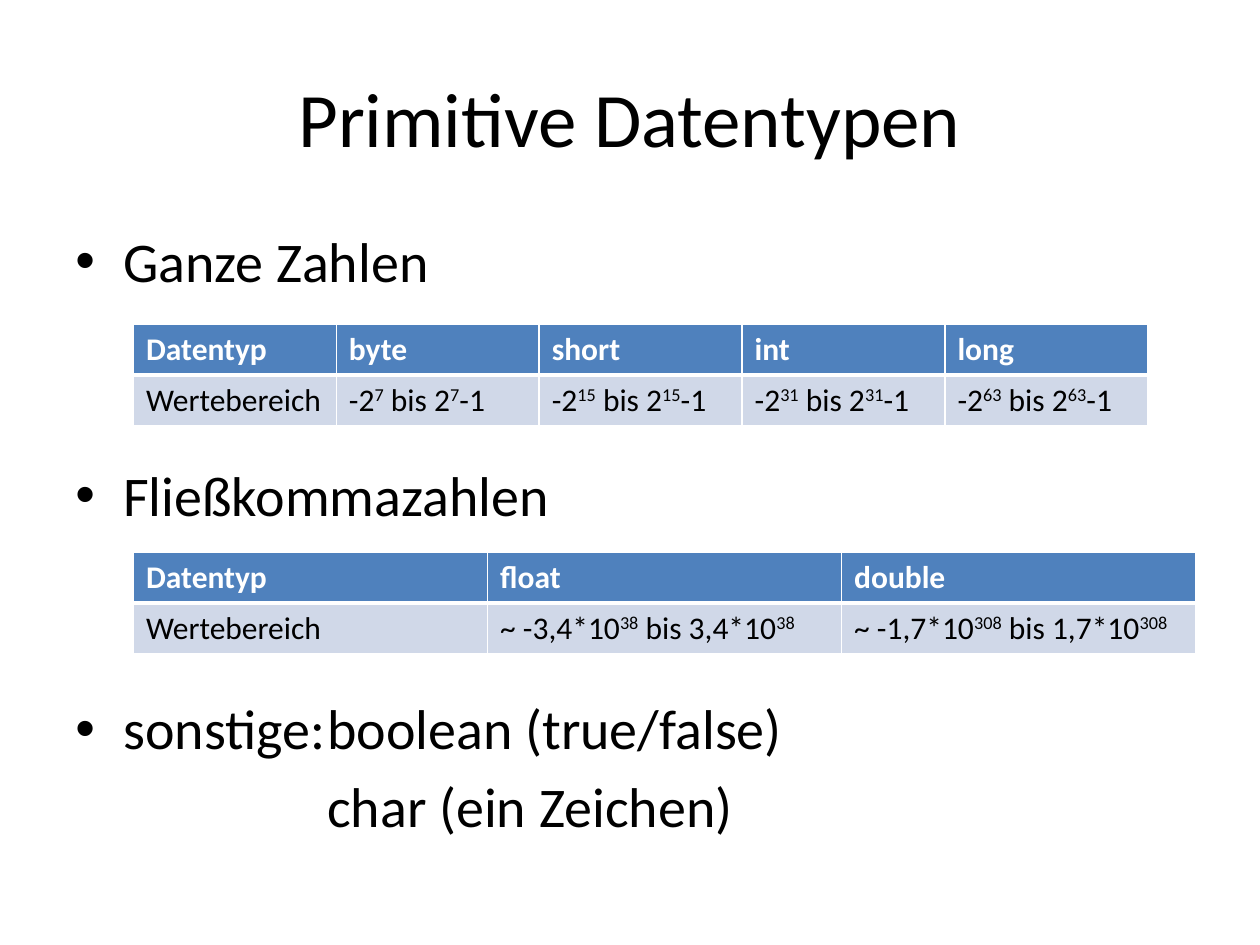
from pptx import Presentation
from pptx.dml.color import RGBColor
from pptx.enum.text import MSO_ANCHOR as Anchor, PP_ALIGN as Align
from pptx.oxml.ns import qn
from pptx.util import Inches, Pt
from lxml.etree import SubElement

WIDTH, HEIGHT = Inches(10), Inches(7.5)
FONT = "Calibri"
BLACK = RGBColor(0x00, 0x00, 0x00)
WHITE = RGBColor(0xFF, 0xFF, 0xFF)
HEADER_BLUE = RGBColor(0x4F, 0x81, 0xBD)
ROW_BLUE = RGBColor(0xD0, 0xD8, 0xE8)

MARGIN = 0.05  # share of the slide width
TABLE_LEFT = Inches(1.06)
ROW_HEIGHT = Inches(0.405)
BULLET_INDENT = Inches(0.38)
LINE_GAP, TABLE_GAP = Pt(5.7), Pt(95.2)

INTEGER_BITS = {"byte": 7, "short": 15, "int": 31, "long": 63}
FLOAT_LIMITS = {"float": ("3,4", 38), "double": ("1,7", 308)}


def style_font(font, size, color=BLACK, bold=False):
    font.name, font.size, font.bold = FONT, Pt(size), bold
    font.color.rgb = color


def add_text_frame(slide, top, height, anchor):
    """Add a text box between the side margins; lengths are slide shares."""
    box = slide.shapes.add_textbox(
        int(WIDTH * MARGIN), int(HEIGHT * top),
        int(WIDTH * (1 - 2 * MARGIN)), int(HEIGHT * height))
    frame = box.text_frame
    frame.word_wrap = True
    frame.vertical_anchor = anchor
    return frame


def set_indent(paragraph, left, first=0, bullet=None):
    properties = paragraph._p.get_or_add_pPr()
    properties.set("marL", str(int(left)))
    properties.set("indent", str(int(first)))
    if bullet:
        SubElement(properties, qn("a:buFont"), typeface="Arial")
        SubElement(properties, qn("a:buChar"), char=bullet)


def add_title(slide, text):
    frame = add_text_frame(slide, 0.04, 1 / 6, Anchor.MIDDLE)
    frame.text = text
    paragraph = frame.paragraphs[0]
    paragraph.alignment = Align.CENTER
    style_font(paragraph.runs[0].font, 44)


def add_body(slide, lines):
    """Add lines given as (text, space before, is bulleted)."""
    frame = add_text_frame(slide, 0.233, 0.697, Anchor.TOP)
    frame.text = "\n".join(text for text, _, _ in lines)
    for paragraph, (_, gap, bulleted) in zip(frame.paragraphs, lines):
        paragraph.space_before = gap
        if bulleted:
            set_indent(paragraph, BULLET_INDENT, -BULLET_INDENT, "•")
        else:
            set_indent(paragraph, Inches(2))
        for run in paragraph.runs:
            style_font(run.font, 32)


def set_borders(cell, **widths):
    properties = cell._tc.get_or_add_tcPr()
    for position, side in enumerate("LRTB"):
        line = properties.makeelement(
            qn(f"a:ln{side}"), {"w": str(Pt(widths.get(side, 1)))})
        fill = SubElement(line, qn("a:solidFill"))
        SubElement(fill, qn("a:srgbClr"), val=str(WHITE))
        properties.insert(position, line)


def fill_cell(cell, text, is_header):
    """Write the text; parts between ^ signs are superscript."""
    paragraph = cell.text_frame.paragraphs[0]
    for index, part in enumerate(text.split("^")):
        if not part:
            continue
        run = paragraph.add_run()
        run.text = part
        style_font(run.font, 18, WHITE if is_header else BLACK, is_header)
        if index % 2:
            run.font._element.set("baseline", "30000")
    cell.fill.solid()
    cell.fill.fore_color.rgb = HEADER_BLUE if is_header else ROW_BLUE
    set_borders(cell, **({"B": 3} if is_header else {"T": 3}))


def add_range_table(slide, top, column_width, ranges):
    rows = [["Datentyp", *ranges], ["Wertebereich", *ranges.values()]]
    count = len(rows[0])
    table = slide.shapes.add_table(
        len(rows), count, TABLE_LEFT, Inches(top),
        Inches(column_width * count), ROW_HEIGHT * len(rows)).table
    table.horz_banding = False
    for column in table.columns:
        column.width = Inches(column_width)
    for row_index, texts in enumerate(rows):
        table.rows[row_index].height = ROW_HEIGHT
        for column_index, text in enumerate(texts):
            fill_cell(table.cell(row_index, column_index), text, row_index == 0)


def main():
    presentation = Presentation()
    presentation.slide_width, presentation.slide_height = WIDTH, HEIGHT
    slide = presentation.slides.add_slide(presentation.slide_layouts[6])

    # Title and bullet list
    add_title(slide, "Primitive Datentypen")
    add_body(slide, [
        ("Ganze Zahlen", Pt(0), True),
        ("Fließkommazahlen", TABLE_GAP, True),
        ("sonstige:\tboolean (true/false)", TABLE_GAP, True),
        ("char (ein Zeichen)", LINE_GAP, False),
    ])

    # Value ranges
    add_range_table(slide, 2.57, 1.61, {
        name: f"-2^{bits}^ bis 2^{bits}^-1"
        for name, bits in INTEGER_BITS.items()})
    add_range_table(slide, 4.38, 2.81, {
        name: f"~ -{factor}*10^{power}^ bis {factor}*10^{power}^"
        for name, (factor, power) in FLOAT_LIMITS.items()})

    presentation.save("out.pptx")


main()
